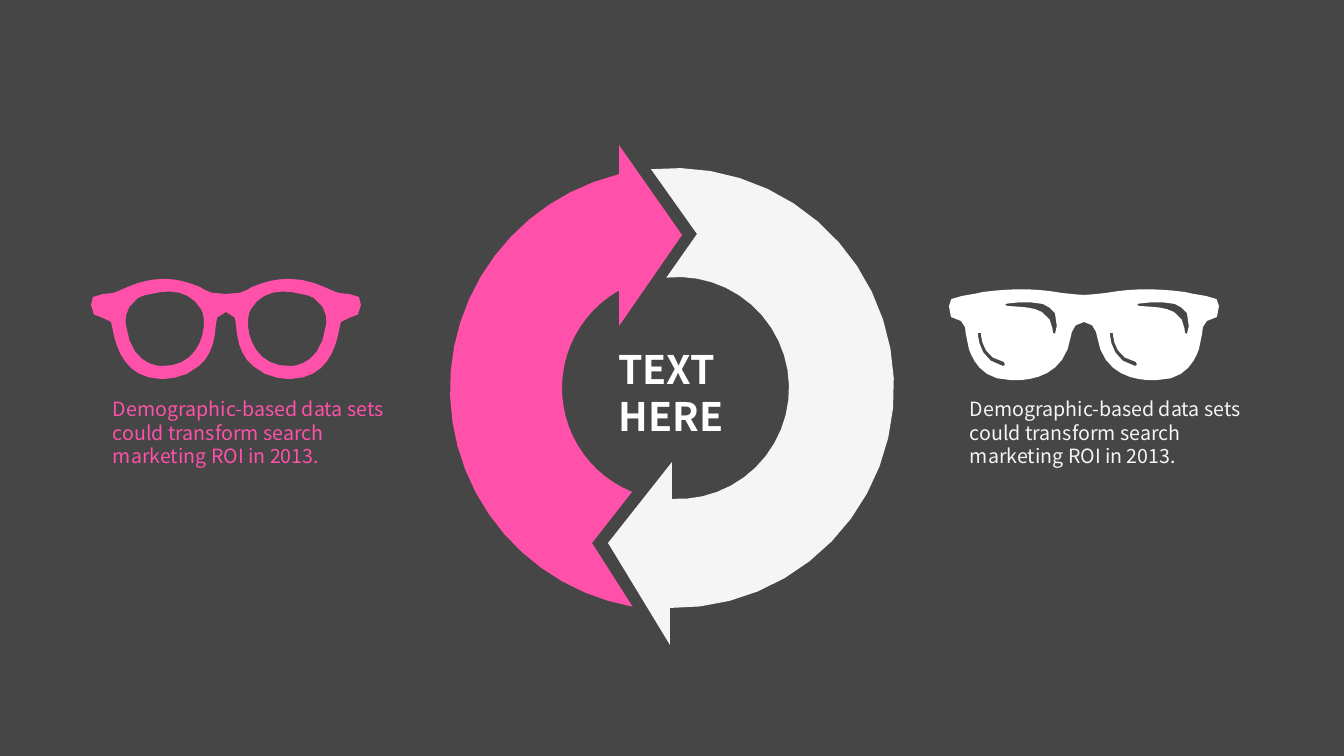
from math import cos, dist, radians, sin

from pptx import Presentation
from pptx.dml.color import RGBColor
from pptx.enum.text import MSO_ANCHOR, PP_ALIGN as Align
from pptx.util import Pt

PX = 12192000 / 1344  # EMU per px

THEME = {
    "font": "Noto Sans CJK SC",
    "ground": RGBColor.from_string("464646"),
    "pink": RGBColor.from_string("FF51AA"),
    "pale": RGBColor.from_string("F5F5F5"),
    "white": RGBColor.from_string("FFFFFF"),
    "title_size": Pt(28),
    "body_size": Pt(14),
}

deck = Presentation()
deck.slide_width, deck.slide_height = round(1344 * PX), round(756 * PX)
page = deck.slides.add_slide(deck.slide_layouts[6])
page.background.fill.solid()
page.background.fill.fore_color.rgb = THEME["ground"]


def trace_curve(nodes, chord=10):
    """Sample a chain of cubic curves: a start, then two handles and an end each."""
    points = [nodes[0]]
    for i in range(0, len(nodes) - 1, 3):
        a, b, c, d = nodes[i:i + 4]
        steps = max(1, round((dist(a, b) + dist(b, c) + dist(c, d)) / chord))
        for step in range(1, steps + 1):
            t = step / steps
            s = 1 - t
            points.append(tuple(
                s**3 * a[k] + 3 * s * s * t * b[k] + 3 * s * t * t * c[k] + t**3 * d[k]
                for k in (0, 1)))
    return points


def draw_outline(contours, colour):
    """Draw closed contours, given in px, as one filled shape."""
    scaled = [[(x * PX, y * PX) for x, y in contour] for contour in contours]
    builder = page.shapes.build_freeform(*scaled[0][0], scale=1.0)
    builder.add_line_segments(scaled[0][1:], close=True)
    for contour in scaled[1:]:
        builder.move_to(*contour[0])
        builder.add_line_segments(contour[1:], close=True)
    shape = builder.convert_to_shape()
    shape.shadow.inherit = False
    shape.fill.solid()
    shape.fill.fore_color.rgb = colour
    shape.line.fill.background()


# Ring arrows: arcs are centre x, centre y, radius, first and last angle
ring_arrows = [
    ("pink", (671, 389, 221, 100, 256),
     [(619, 174), (619, 145), (682, 235), (619, 326), (619, 291)],
     (674, 388, 112, 240, 112), (592, 543)),
    ("pale", (674, 388, 220, -96, 91),
     [(670, 609), (670, 645), (608, 543), (672, 462), (672, 499)],
     (678, 388, 111, 93, -96), (697, 234)),
]
ARC_STEPS = 24
for colour, outer, head, inner, notch in ring_arrows:
    outer_arc, inner_arc = [
        [(x + r * cos(radians(first + (last - first) * i / ARC_STEPS)),
          y + r * sin(radians(first + (last - first) * i / ARC_STEPS)))
         for i in range(ARC_STEPS + 1)]
        for x, y, r, first, last in (outer, inner)]
    draw_outline([outer_arc + head + inner_arc + [notch]], THEME[colour])

# Glasses: nodes are the distance left of the middle and the depth below the top
round_frame = [
    (0, 21), (14, 21), (17, 19), (21, 17), (22, 16), (24, 15), (26, 14),
    (34, 11), (57, 0), (88, 10), (96, 13), (101, 15), (105, 17),
    (111, 20), (114, 21), (123, 21), (126, 21), (130, 21), (133, 24),
    (134, 26), (135, 29), (135, 32), (135, 40), (131, 45), (123, 45),
    (117, 45), (117, 45), (115, 49), (115, 50), (114, 52), (114, 53),
    (111, 68), (105, 105), (65, 106), (64, 106), (42, 107), (27, 93),
    (16, 84), (11, 70), (10, 51), (10, 50), (10, 39), (0, 39)]
round_lens = [
    (65, 93), (65, 93), (95, 94), (100, 52), (100, 52), (104, 36), (88, 25),
    (88, 25), (79, 20), (65, 19), (49, 17), (34, 21), (25, 36),
    (17, 48), (23, 95), (65, 93)]
dark_frame = [
    (0, 8), (1, 8), (15, 7), (22, 6), (40, 3), (62, 0), (101, 5),
    (102, 5), (112, 8), (122, 9), (133, 10), (135, 13), (135, 19),
    (135, 23), (135, 28), (133, 30), (131, 33), (126, 34), (123, 34),
    (123, 34), (119, 32), (119, 40), (119, 40), (118, 51), (115, 62),
    (112, 71), (103, 93), (74, 93), (72, 93), (20, 99), (13, 49),
    (13, 48), (11, 35), (0, 35)]
low_glint = [
    (79, 78), (79, 79), (79, 80), (81, 79), (106, 74), (106, 47), (106, 46),
    (106, 45), (103, 45), (103, 46), (103, 47), (103, 71), (80, 75),
    (79, 75), (79, 77), (79, 78)]
high_glint = [
    (29, 47), (30, 47), (31, 47), (31, 46), (31, 46), (31, 30), (42, 25),
    (51, 20), (62, 20), (77, 19), (79, 18), (79, 18), (79, 17),
    (79, 17), (57, 13), (41, 17), (36, 19), (32, 22), (29, 26),
    (25, 35), (28, 45), (29, 47)]

# Frames and round lenses mirror about the middle; glints repeat 132 px to the right
GLINT_SHIFT = 132
glasses = [
    ("pink", 226, 273, round_frame, [round_lens], True),
    ("white", 1084, 287, dark_frame, [low_glint, high_glint], False),
]
for colour, middle, top, frame, cutouts, mirrored in glasses:
    half = trace_curve(frame)
    contours = [half + [(-x, y) for x, y in reversed(half[1:-1])]]
    for cutout in map(trace_curve, cutouts):
        contours.append(cutout)
        contours.append([(-x if mirrored else x - GLINT_SHIFT, y) for x, y in cutout])
    draw_outline([[(middle - x, top + y) for x, y in contour] for contour in contours],
                 THEME[colour])

# Ring title and the two captions
caption = "Demographic-based data sets could transform search marketing ROI in 2013."
texts = [
    ((551, 340, 240, 105), ["TEXT ", "HERE"], "white", "title_size", True, Align.CENTER),
    ((103, 392, 301, 82), [caption], "pink", "body_size", False, Align.LEFT),
    ((960, 392, 294, 82), [caption], "pale", "body_size", False, Align.LEFT),
]
for area, lines, colour, size, bold, align in texts:
    box = page.shapes.add_textbox(*(round(length * PX) for length in area))
    text_frame = box.text_frame
    text_frame.word_wrap = True
    text_frame.vertical_anchor = MSO_ANCHOR.TOP
    text_frame.text = "\n".join(lines)
    for para in text_frame.paragraphs:
        para.alignment = align
        for span in para.runs:
            span.font.name = THEME["font"]
            span.font.size = THEME[size]
            span.font.bold = bold
            span.font.color.rgb = THEME[colour]

deck.save("out.pptx")
